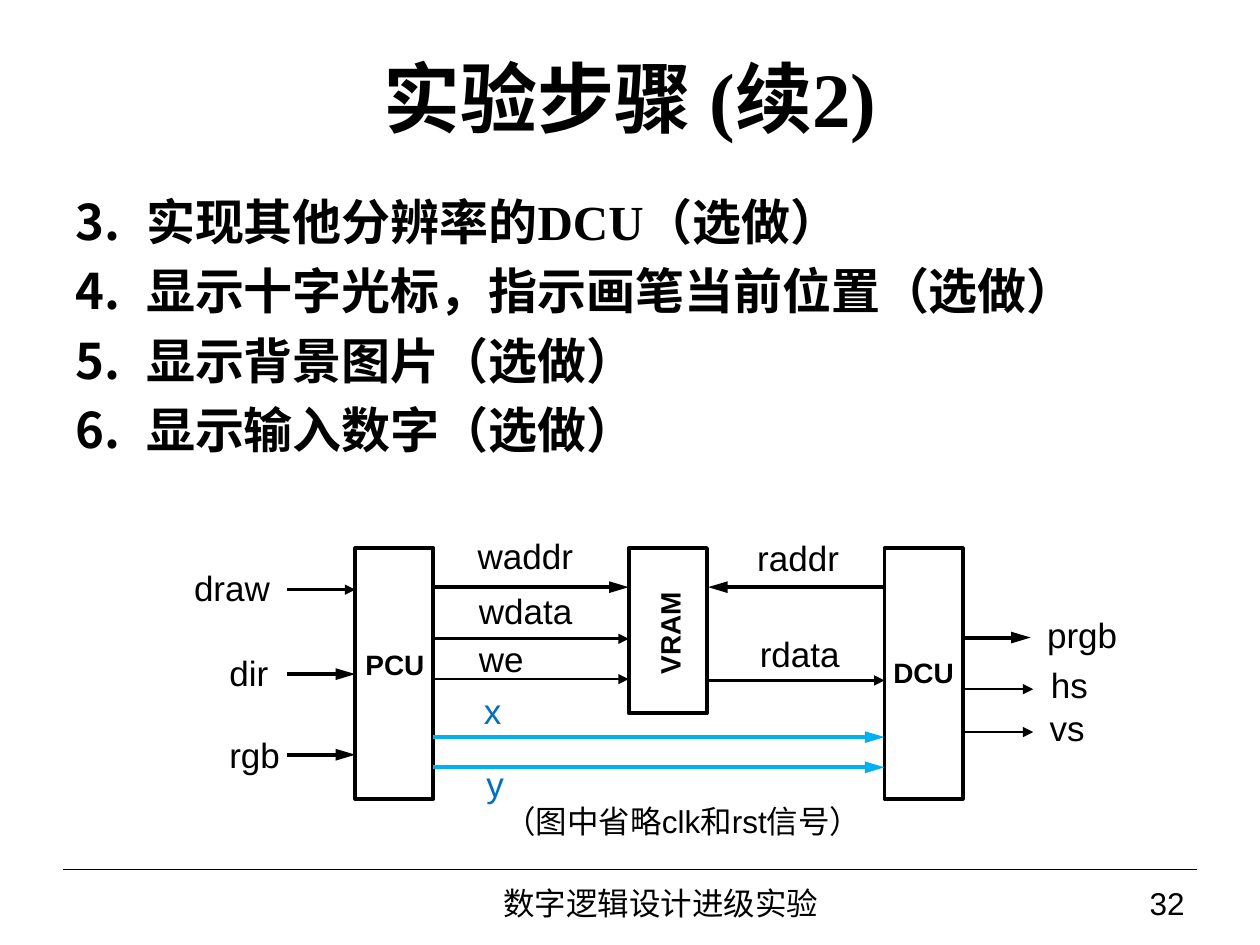
from dataclasses import dataclass

from lxml import etree
from pptx import Presentation
from pptx import util as u
from pptx.dml.color import RGBColor
from pptx.enum import shapes, text
from pptx.oxml.ns import qn

SCALE = 9144


@dataclass(frozen=True)
class Theme:
    ink: str = "000000"
    blue: str = "0070C0"
    cyan: str = "00B0F0"
    serif: str = "Times New Roman"
    sans: str = "Arial"
    title: int = 44
    body: int = 28
    label: int = 20
    note: int = 18
    block: int = 16
    thick: float = 2.25
    thin: float = 1.5
    rule: float = 0.75


T = Theme()
LEFT, MID, RIGHT = text.PP_ALIGN.LEFT, text.PP_ALIGN.CENTER, text.PP_ALIGN.RIGHT
TOP, HALF = text.MSO_ANCHOR.TOP, text.MSO_ANCHOR.MIDDLE


def px(n):
    return u.Emu(n * SCALE)


def color(code):
    return RGBColor.from_string(code)


def style(par, size, face=T.sans, ink=T.ink, bold=False, align=LEFT):
    par.alignment = align
    for run in par.runs:
        font = run.font
        font.size, font.name, font.bold = u.Pt(size), face, bold
        font.color.rgb = color(ink)


def place(shape, box):
    shape.left, shape.top, shape.width, shape.height = map(px, box)


def set_title(slide, words, box):
    shape = slide.shapes.title
    place(shape, box)
    frame = shape.text_frame
    frame.text = words
    frame.auto_size = text.MSO_AUTO_SIZE.NONE
    frame.vertical_anchor = HALF
    style(frame.paragraphs[0], T.title, T.serif, bold=True, align=MID)


def number(par, start):
    props = par._p.get_or_add_pPr()
    props.set("marL", str(px(56)))
    props.set("indent", str(-px(56)))
    tint = etree.SubElement(props, qn("a:buClr"))
    etree.SubElement(tint, qn("a:srgbClr"), val=T.ink)
    etree.SubElement(props, qn("a:buFont"), typeface="+mj-ea")
    etree.SubElement(props, qn("a:buAutoNum"), type="arabicPeriod", startAt=str(start))


def set_list(slide, items, start, box):
    shape = slide.placeholders[1]
    place(shape, box)
    frame = shape.text_frame
    frame.text = "\n".join(items)
    frame.auto_size = text.MSO_AUTO_SIZE.NONE
    frame.vertical_anchor = TOP
    for par in frame.paragraphs:
        style(par, T.body, T.serif, bold=True)
        par.space_before, par.space_after = u.Pt(0), u.Pt(6)
        number(par, start)


def add_text(slide, words, box, size, ink=T.ink, bold=False, align=LEFT,
             wrap=False, inset=0, anchor=HALF, turn=0):
    shape = slide.shapes.add_textbox(*map(px, box))
    shape.rotation = turn
    frame = shape.text_frame
    frame.text = words
    frame.word_wrap = wrap
    frame.vertical_anchor = anchor
    frame.margin_left = frame.margin_right = px(2 * inset)
    frame.margin_top = frame.margin_bottom = px(inset)
    style(frame.paragraphs[0], size, ink=ink, bold=bold, align=align)


def add_block(slide, name, box, label, turn=0):
    shape = slide.shapes.add_shape(shapes.MSO_SHAPE.RECTANGLE, *map(px, box))
    shape.shadow.inherit = False
    shape.fill.background()
    shape.line.color.rgb = color(T.ink)
    shape.line.width = u.Pt(T.thick)
    add_text(slide, name, label, T.block, bold=True, align=MID,
             inset=5, anchor=TOP, turn=turn)


def add_line(slide, x1, x2, y, width, ink=T.ink, head=True):
    line = slide.shapes.add_connector(
        shapes.MSO_CONNECTOR.STRAIGHT, px(x1), px(y), px(x2), px(y))
    line.line.color.rgb = color(ink)
    line.line.width = u.Pt(width)
    if head:
        size = "lg" if width == T.thick else "med"
        etree.SubElement(line.line._get_or_add_ln(), qn("a:tailEnd"),
                         type="triangle", w="med", len=size)
    etree.SubElement(line._element.spPr, qn("a:effectLst"))


def add_wires(slide):
    wires = [
        (344, 499, 466, T.thick, T.ink),
        (344, 499, 507, T.thin, T.ink),
        (344, 499, 539, T.thin, T.ink),
        (228, 282, 468, T.thin, T.ink),
        (228, 282, 535, T.thick, T.ink),
        (228, 282, 599, T.thick, T.ink),
        (702, 562, 466, T.thick, T.ink),
        (563, 702, 540, T.thin, T.ink),
        (344, 702, 585, T.thick, T.cyan),
        (344, 702, 609, T.thick, T.cyan),
        (764, 818, 506, T.thick, T.ink),
        (766, 820, 547, T.thin, T.ink),
        (766, 820, 581, T.thin, T.ink),
    ]
    for wire in wires:
        add_line(slide, *wire)


def add_labels(slide):
    labels = [
        ("waddr", 379, 424, 82, T.ink),
        ("wdata", 380, 468, 82, T.ink),
        ("we", 380, 506, 40, T.ink),
        ("draw", 154, 450, 66, T.ink),
        ("dir", 182, 517, 36, T.ink),
        ("rgb", 182, 582, 45, T.ink),
        ("raddr", 601, 426, 72, T.ink),
        ("rdata", 603, 502, 72, T.ink),
        ("prgb", 831, 487, 62, T.ink),
        ("hs", 834, 527, 40, T.ink),
        ("vs", 833, 561, 40, T.ink),
        ("x", 384, 547, 20, T.blue),
        ("y", 386, 605, 20, T.blue),
    ]
    for name, left, top, width, ink in labels:
        add_text(slide, name, (left, top, width, 33), T.label, ink)


def main():
    deck = Presentation()
    deck.slide_width, deck.slide_height = px(1000), px(750)
    slide = deck.slides.add_slide(deck.slide_layouts[1])
    add_line(slide, 50, 950, 690, T.rule, head=False)
    set_list(slide, ["实现其他分辨率的DCU（选做）",
                     "显示十字光标，指示画笔当前位置（选做）",
                     "显示背景图片（选做）",
                     "显示输入数字（选做）"], 3, (50, 147, 875, 248))
    set_title(slide, "实验步骤 (续2)", (50, 30, 900, 93))
    add_text(slide, "32", (775, 698, 175, 37), T.note, align=RIGHT, wrap=True, inset=5)
    add_text(slide, "数字逻辑设计进级实验", (283, 698, 483, 37), T.note,
             align=MID, wrap=True, inset=5)
    add_block(slide, "PCU", (282, 435, 62, 199), (280, 509, 67, 37))
    add_block(slide, "VRAM", (499, 435, 62, 131), (489, 484, 85, 37), turn=270)
    add_block(slide, "DCU", (702, 435, 62, 199), (699, 515, 68, 37))
    add_wires(slide)
    add_labels(slide)
    add_text(slide, "（图中省略clk和rst信号）", (372, 637, 340, 29), T.note, align=MID)
    deck.save("out.pptx")


if __name__ == "__main__":
    main()
